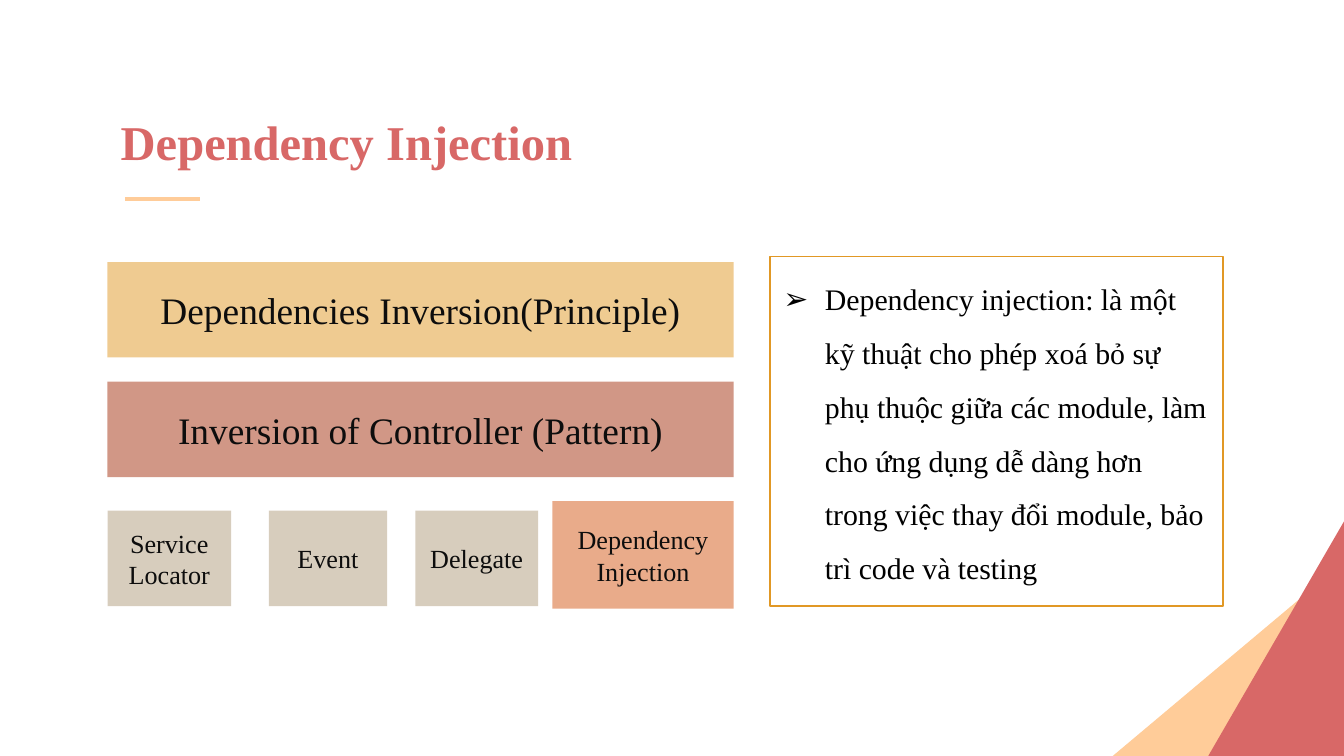
from lxml.etree import SubElement
from pptx import Presentation
from pptx.dml.color import RGBColor
from pptx.enum.shapes import MSO_CONNECTOR as CONN, MSO_SHAPE as SHAPE
from pptx.enum.text import MSO_ANCHOR as ANCHOR, PP_ALIGN as ALIGN
from pptx.oxml.ns import qn
from pptx.util import Inches, Pt

COLS, ROWS = 100, 56.25
CELL = Inches(0.1)
FONT = "Times New Roman"
PEACH, RED, GOLD, INK = "FFCC99", "D86867", "E19825", "0D0D0D"


def rgb(value):
    return RGBColor.from_string(value)


def grid(*cells):
    return [round(c * CELL) for c in cells]


def add_text(sp, text, size=14, color=INK, bold=False, align=ALIGN.LEFT,
             anchor=ANCHOR.MIDDLE, inset=None, spacing=None, bullet=None):
    tf = sp.text_frame
    tf.word_wrap = True
    tf.vertical_anchor = anchor
    if inset is not None:
        tf.margin_left = tf.margin_right = tf.margin_top = tf.margin_bottom = inset
    p = tf.paragraphs[0]
    p.alignment = align
    if spacing:
        p.line_spacing = spacing
    if bullet:
        pPr = p._p.get_or_add_pPr()
        indent = Inches(0.31)
        pPr.set("marL", str(indent))
        pPr.set("indent", str(-indent))
        clr = SubElement(pPr, qn("a:buClr"))
        SubElement(clr, qn("a:srgbClr"), val=color)
        SubElement(pPr, qn("a:buFont"), typeface="Arial")
        SubElement(pPr, qn("a:buChar"), char=bullet)
    r = p.add_run()
    r.text = text
    r.font.name, r.font.size, r.font.bold = FONT, Pt(size), bold
    r.font.color.rgb = rgb(color)


def add_block(s, box, fill=None, alpha=None, line=None):
    sp = s.shapes.add_shape(SHAPE.RECTANGLE, *grid(*box))
    sp.shadow.inherit = False
    if fill:
        sp.fill.solid()
        sp.fill.fore_color.rgb = rgb(fill)
        if alpha:
            clr = sp.fill._xPr.find(qn("a:solidFill"))[0]
            SubElement(clr, qn("a:alpha"), val=str(alpha * 1000))
    else:
        sp.fill.background()
    if line:
        sp.line.color.rgb = rgb(line)
        sp.line.width = Pt(0.75)
    else:
        sp.line.fill.background()
    return sp


def corner(s, box):
    x, y, w, h = box
    right, bottom = x + w, y + h
    for start, top, color in [(x, y + 3, PEACH), (x + 7.1, y, RED)]:
        fb = s.shapes.build_freeform(*grid(start, bottom))
        fb.add_line_segments([grid(right, bottom), grid(right, top)])
        sp = fb.convert_to_shape()
        sp.shadow.inherit = False
        sp.fill.solid()
        sp.fill.fore_color.rgb = rgb(color)
        sp.line.fill.background()


def header(s, box, text):
    x, y, w, h = box
    rule_y = y + h + 1.1
    ln = s.shapes.add_connector(
        CONN.STRAIGHT, *grid(x + 1.3, rule_y, x + 6.9, rule_y))
    ln.line.color.rgb = rgb(PEACH)
    ln.line.width = Pt(2.25)
    SubElement(ln._element.spPr, qn("a:effectLst"))
    tb = s.shapes.add_textbox(*grid(*box))
    add_text(tb, text, size=26, color=RED, bold=True,
             anchor=ANCHOR.BOTTOM, inset=CELL)


def layers(s, box):
    x, y, w, h = box
    band_h, pitch = 7.1, 8.9
    bands = [("Dependencies Inversion(Principle)", GOLD),
             ("Inversion of Controller (Pattern)", "A5300F")]
    for i, (text, color) in enumerate(bands):
        sp = add_block(s, (x, y + i * pitch, w, band_h), color, alpha=50)
        add_text(sp, text, size=20, align=ALIGN.CENTER)
    tile_y = y + h - band_h - 0.2
    tiles = [("Service Locator", 0, 9.2), ("Event", 12, 8.8), ("Delegate", 22.9, 9.15)]
    for text, dx, tile_w in tiles:
        sp = add_block(s, (x + dx, tile_y, tile_w, band_h), "B19C7D", alpha=50)
        add_text(sp, text, align=ALIGN.CENTER)
    focus_w, focus_h = 13.5, 8
    sp = add_block(s, (x + w - focus_w, y + h - focus_h, focus_w, focus_h),
                   "D55816", alpha=50)
    add_text(sp, "Dependency Injection", align=ALIGN.CENTER)


def note(s, box, text):
    sp = add_block(s, box, line=GOLD)
    add_text(sp, text, size=16, color="000000", anchor=ANCHOR.TOP,
             spacing=1.5, bullet="➢")


def main():
    prs = Presentation()
    prs.slide_width, prs.slide_height = grid(COLS, ROWS)
    s = prs.slides.add_slide(prs.slide_layouts[6])
    corner(s, (82.8, 38.8, COLS - 82.8, ROWS - 38.8))
    header(s, (8, 8, 85.3, 5.7), "Dependency Injection")
    layers(s, (8, 19.5, 46.6, 25.8))
    note(s, (57.3, 19.1, 33.7, 26),
         "Dependency injection: là một kỹ thuật cho phép xoá bỏ sự phụ thuộc "
         "giữa các module, làm cho ứng dụng dễ dàng hơn trong việc thay đổi "
         "module, bảo trì code và testing")
    prs.save("out.pptx")


if __name__ == "__main__":
    main()
